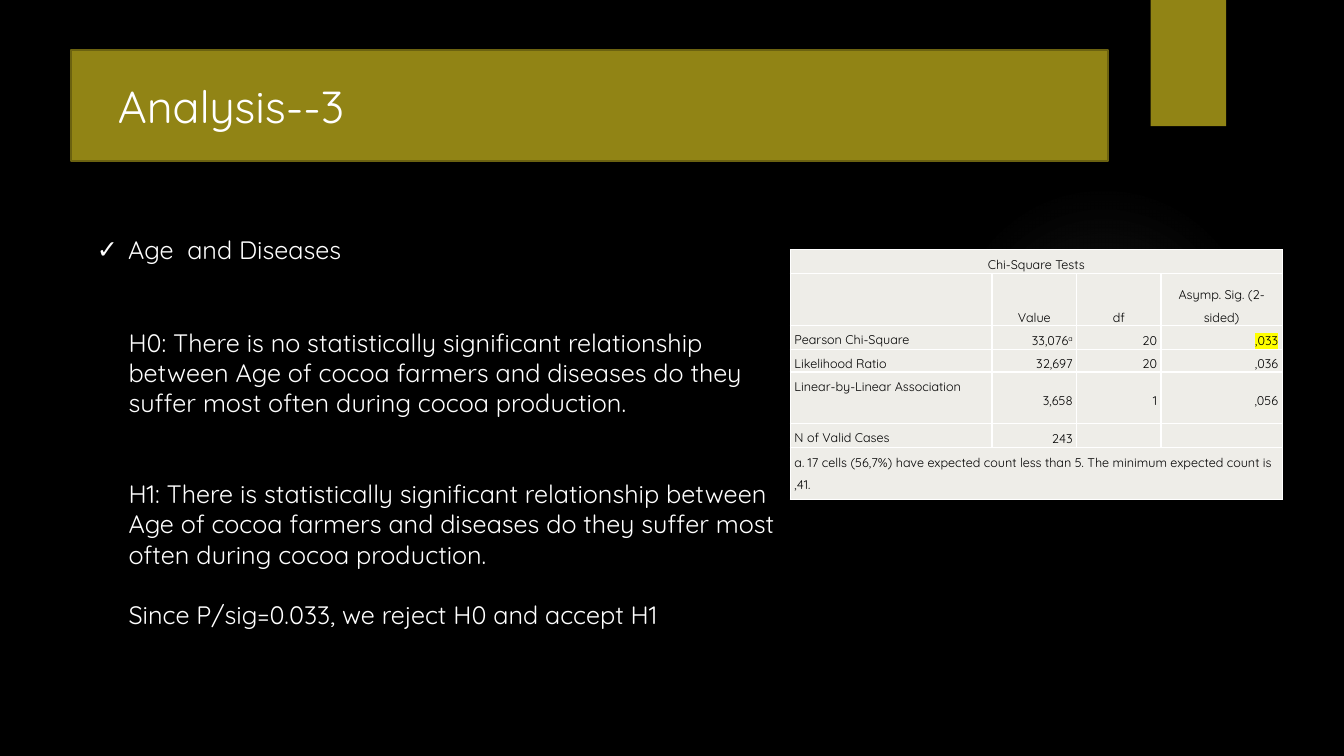
from lxml.etree import SubElement, fromstring
from pptx import Presentation
from pptx.dml.color import RGBColor
from pptx.enum.shapes import MSO_SHAPE as SHAPE
from pptx.enum.text import MSO_ANCHOR as ANCHOR, PP_ALIGN as ALIGN
from pptx.oxml.ns import nsdecls, qn
from pptx.util import Cm, Pt

COLORS = {"background": "000000", "olive": "918415", "outline": "6B6210",
          "glow": "ACACAC", "cell": "EEEDE8", "white": "FFFFFF",
          "black": "000000", "highlight": "FFFF00"}
FONT = "Quicksand"


def add_run(p, text, size, color):
    r = p.add_run()
    r.text = text
    for name, value in {"name": FONT, "size": Pt(size)}.items():
        setattr(r.font, name, value)
    r.font.color.rgb = RGBColor.from_string(COLORS[color])
    return r


def add_block(kind, left, top, width, height):
    sp = s.shapes.add_shape(kind, Cm(left), Cm(top), Cm(width), Cm(height))
    sp.shadow.inherit = False
    sp.fill.solid()
    sp.fill.fore_color.rgb = RGBColor.from_string(COLORS["olive"])
    sp.line.fill.background()
    return sp


prs = Presentation()
prs.slide_width, prs.slide_height = Cm(33.87), Cm(19.05)
s = prs.slides.add_slide(prs.slide_layouts[6])
s.background.fill.solid()
s.background.fill.fore_color.rgb = RGBColor.from_string(COLORS["background"])

glow = add_block(SHAPE.OVAL, 23.9, 4.65, 7.82, 7.82)
stops = "".join(
    f'<a:gs pos="{pos * 1000}"><a:srgbClr val="{COLORS["glow"]}">'
    f'<a:alpha val="{alpha * 1000}"/></a:srgbClr></a:gs>'
    for pos, alpha in [(0, 7), (36, 6), (69, 0)])
gradient = fromstring(
    f'<a:gradFill {nsdecls("a")} rotWithShape="1"><a:gsLst>{stops}</a:gsLst>'
    '<a:path path="circle"><a:fillToRect l="50000" t="50000" r="50000" b="50000"/>'
    '</a:path></a:gradFill>')
fill = glow.element.spPr.find(qn("a:solidFill"))
fill.getparent().replace(fill, gradient)

add_block(SHAPE.RECTANGLE, 29, 0, 1.9, 3.18)

ROWS = [
    (0.61, ["Chi-Square Tests", "", "", ""]),
    (1.3, ["", "Value", "df", "Asymp. Sig. (2-sided)"]),
    (0.61, ["Pearson Chi-Square", "33,076", "20", ",033"]),
    (0.56, ["Likelihood Ratio", "32,697", "20", ",036"]),
    (1.3, ["Linear-by-Linear Association", "3,658", "1", ",056"]),
    (0.61, ["N of Valid Cases", "243", "", ""]),
    (1.3, ["a. 17 cells (56,7%) have expected count less than 5. "
           "The minimum expected count is ,41.", "", "", ""]),
]
COLUMNS = [5.08, 2.13, 2.13, 3.05]
table = s.shapes.add_table(len(ROWS), len(COLUMNS), Cm(19.92), Cm(6.29),
                           Cm(sum(COLUMNS)), Cm(sum(h for h, _ in ROWS))).table
for column, width in zip(table.columns, COLUMNS):
    column.width = Cm(width)
for i, (height, texts) in enumerate(ROWS):
    table.rows[i].height = Cm(height)
    for j, text in enumerate(texts):
        cell = table.cell(i, j)
        if i == 0:
            anchor, align = ANCHOR.MIDDLE, ALIGN.CENTER
        elif i == 1:
            anchor, align = ANCHOR.BOTTOM, ALIGN.CENTER
        elif j == 0:
            anchor, align = ANCHOR.TOP, ALIGN.LEFT
        else:
            anchor, align = ANCHOR.MIDDLE, ALIGN.RIGHT
        layout = {"margin_left": Cm(0.1), "margin_right": Cm(0.1), "margin_top": 0,
                  "margin_bottom": 0, "vertical_anchor": anchor}
        for name, value in layout.items():
            setattr(cell, name, value)
        tcPr = cell._tc.get_or_add_tcPr()
        for side in ["lnL", "lnR", "lnT", "lnB"]:
            ln = SubElement(tcPr, qn(f"a:{side}"), w=str(Pt(1)))
            SubElement(SubElement(ln, qn("a:solidFill")), qn("a:srgbClr"),
                       val=COLORS["white"])
        cell.fill.solid()
        cell.fill.fore_color.rgb = RGBColor.from_string(COLORS["cell"])
        p = cell.text_frame.paragraphs[0]
        p.alignment, p.line_spacing = align, Pt(16)
        if text:
            r = add_run(p, text, 9, "black")
        else:
            SubElement(p._p, qn("a:endParaRPr"), sz="900")
        if text == "33,076":
            note = add_run(p, "a", 9, "black")
            note.font._element.set("baseline", "30000")
        if text == ",033":
            mark = fromstring(f'<a:highlight {nsdecls("a")}>'
                              f'<a:srgbClr val="{COLORS["highlight"]}"/></a:highlight>')
            r.font._element.find(qn("a:solidFill")).addnext(mark)
for i in (0, len(ROWS) - 1):
    table.cell(i, 0).merge(table.cell(i, len(COLUMNS) - 1))

topic = s.shapes.add_textbox(Cm(2.19), Cm(5.77), Cm(7.06), Cm(1.02))
p = topic.text_frame.paragraphs[0]
add_run(p, "Age  and Diseases", 18, "white")
pPr = p._p.get_or_add_pPr()
pPr.set("marL", str(Cm(0.79)))
pPr.set("indent", str(-Cm(0.79)))
SubElement(pPr, qn("a:buFont"), typeface=FONT)
SubElement(pPr, qn("a:buChar"), char="✓")

HYPOTHESES = [
    (0, "H0: There is no statistically significant relationship between Age of cocoa "
        "farmers and diseases do they suffer most often during cocoa production."),
    (43.2, "H1: There is statistically significant relationship between Age of cocoa "
           "farmers and diseases do they suffer most often during cocoa production."),
    (21.6, "Since P/sig=0.033, we reject H0 and accept H1"),
]
tf = s.shapes.add_textbox(Cm(2.99), Cm(8.12), Cm(16.94), Cm(7.95)).text_frame
tf.word_wrap = True
for i, (gap, text) in enumerate(HYPOTHESES):
    p = tf.add_paragraph() if i else tf.paragraphs[0]
    p.space_before = Pt(gap)
    add_run(p, text, 18, "white")

title = add_block(SHAPE.RECTANGLE, 1.8, 1.26, 26.13, 2.8)
title.line.color.rgb = RGBColor.from_string(COLORS["outline"])
title.line.width = Pt(1.5)
tf = title.text_frame
for name, value in {"margin_left": Cm(1.17), "vertical_anchor": ANCHOR.MIDDLE,
                    "word_wrap": True}.items():
    setattr(tf, name, value)
p = tf.paragraphs[0]
p.alignment = ALIGN.LEFT
add_run(p, "Analysis--3", 32, "white")

prs.save("out.pptx")
